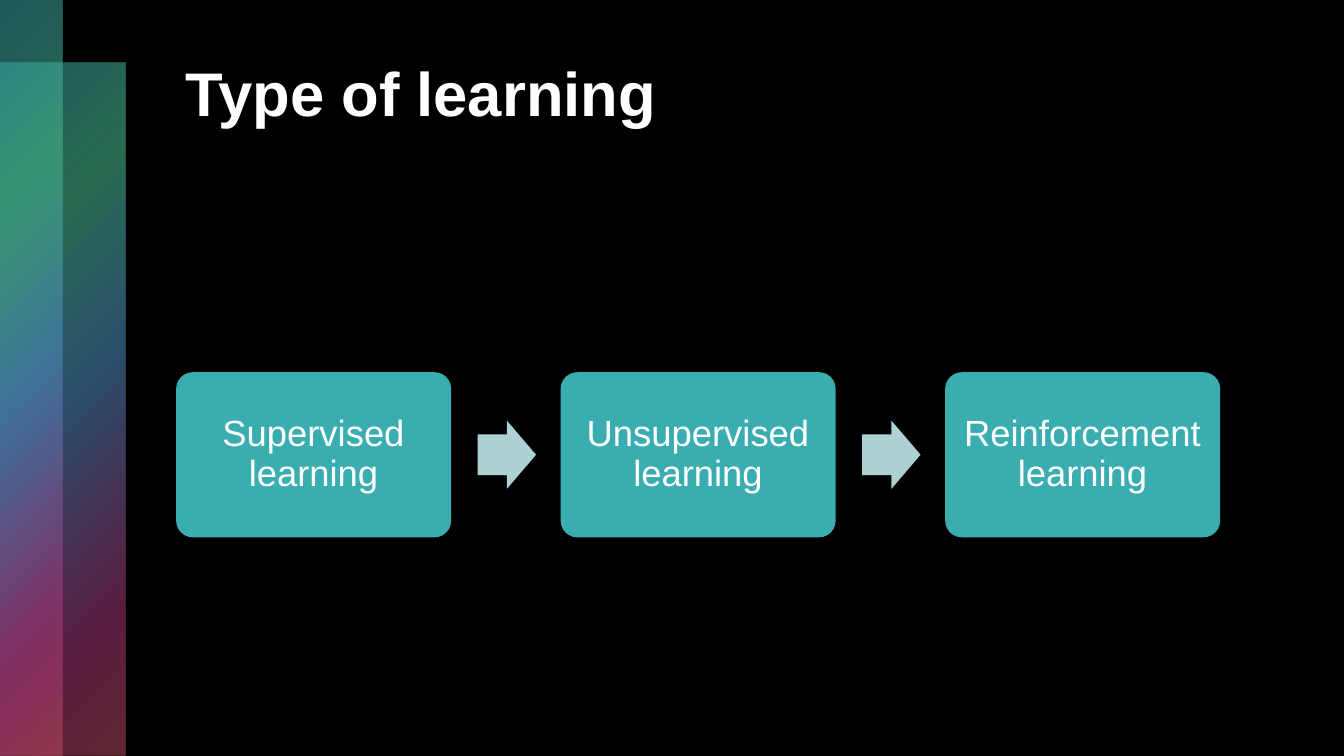
from lxml import etree
from pptx import Presentation
from pptx import util as u
from pptx.dml.color import RGBColor
from pptx.enum import shapes, text
from pptx.oxml import ns

COLORS = {
    "background": "000000",
    "text": "FFFFFF",
    "box": "39ADB0",
    "arrow": "ADD1D3",
    "teal": "3BADB1",
    "green": "46B389",
    "blue": "4D8DC3",
    "plum": "B13B81",
    "rose": "C34D61",
}
# Stops of the side bands: position %, colour, opacity %
BAND_STOPS = [(0, "teal", 50), (25, "green", 60), (50, "blue", 55),
              (81, "plum", 50), (99, "rose", 50), (100, "rose", 50)]


class Deck:
    """Holds the style and the current slide."""

    font = "Arial"

    def __init__(self, width, height):
        self.prs = Presentation()
        self.prs.slide_width, self.prs.slide_height = u.Cm(width), u.Cm(height)
        self.slide = self.prs.slides.add_slide(self.prs.slide_layouts[6])
        fill = self.slide.background.fill
        fill.solid()
        fill.fore_color.rgb = self.color("background")

    def color(self, name):
        return RGBColor.from_string(COLORS[name])

    def shape(self, kind, box, fill=None, adjust=()):
        sp = self.slide.shapes.add_shape(kind, *map(u.Cm, box))
        sp.shadow.inherit = False
        sp.line.fill.background()
        for i, value in enumerate(adjust):
            sp.adjustments[i] = value
        if fill:
            sp.fill.solid()
            sp.fill.fore_color.rgb = self.color(fill)
        return sp

    def band(self, box):
        """Rectangle with a translucent gradient spreading from its top left."""
        sp = self.shape(shapes.MSO_SHAPE.RECTANGLE, box)
        sp.fill.background()
        grad = etree.Element(ns.qn("a:gradFill"), rotWithShape="1")
        stops = etree.SubElement(grad, ns.qn("a:gsLst"))
        for pos, name, alpha in BAND_STOPS:
            gs = etree.SubElement(stops, ns.qn("a:gs"), pos=str(pos * 1000))
            clr = etree.SubElement(gs, ns.qn("a:srgbClr"), val=COLORS[name])
            etree.SubElement(clr, ns.qn("a:alpha"), val=str(alpha * 1000))
        circle = etree.SubElement(grad, ns.qn("a:path"), path="circle")
        etree.SubElement(circle, ns.qn("a:fillToRect"), r="100000", b="100000")
        etree.SubElement(grad, ns.qn("a:tileRect"), l="-100000", t="-100000")
        no_fill = sp.element.spPr.find(ns.qn("a:noFill"))
        sp.element.spPr.replace(no_fill, grad)

    def set_text(self, tf, words, size, bold=False):
        tf.word_wrap = True
        tf.text = words
        p = tf.paragraphs[0]
        r = p.runs[0]
        r.font.name, r.font.size, r.font.bold = self.font, u.Pt(size), bold
        r.font.color.rgb = self.color("text")
        return p

    def title(self, words, box):
        sp = self.slide.shapes.add_textbox(*map(u.Cm, box))
        self.set_text(sp.text_frame, words, 44, bold=True)

    def step(self, words, box):
        sp = self.shape(shapes.MSO_SHAPE.ROUNDED_RECTANGLE, box, "box", [0.1])
        tf = sp.text_frame
        tf.margin_left = tf.margin_right = u.Cm(0.26)
        tf.vertical_anchor = text.MSO_ANCHOR.MIDDLE
        p = self.set_text(tf, words, 26)
        p.alignment = text.PP_ALIGN.CENTER
        p.line_spacing = 0.9

    def arrow(self, box):
        self.shape(shapes.MSO_SHAPE.RIGHT_ARROW, box, "arrow", [0.6, 0.5])


def main():
    deck = Deck(33.87, 19.05)

    # Side bands
    deck.band((0, 1.58, 3.16, 17.47))
    deck.band((0, 0, 1.58, 19.05))

    # Title
    deck.title("Type of learning", (4.42, 1.27, 26.34, 4.32))

    # Row of steps with an arrow in each gap
    steps = ["Supervised learning", "Unsupervised learning",
             "Reinforcement learning"]
    left, pitch = 4.44, 9.69
    for i, words in enumerate(steps):
        x = left + i * pitch
        if i:
            deck.arrow((x - 2.09, 10.6, 1.47, 1.72))
        deck.step(words, (x, 9.38, 6.93, 4.16))

    deck.prs.save("out.pptx")


if __name__ == "__main__":
    main()
